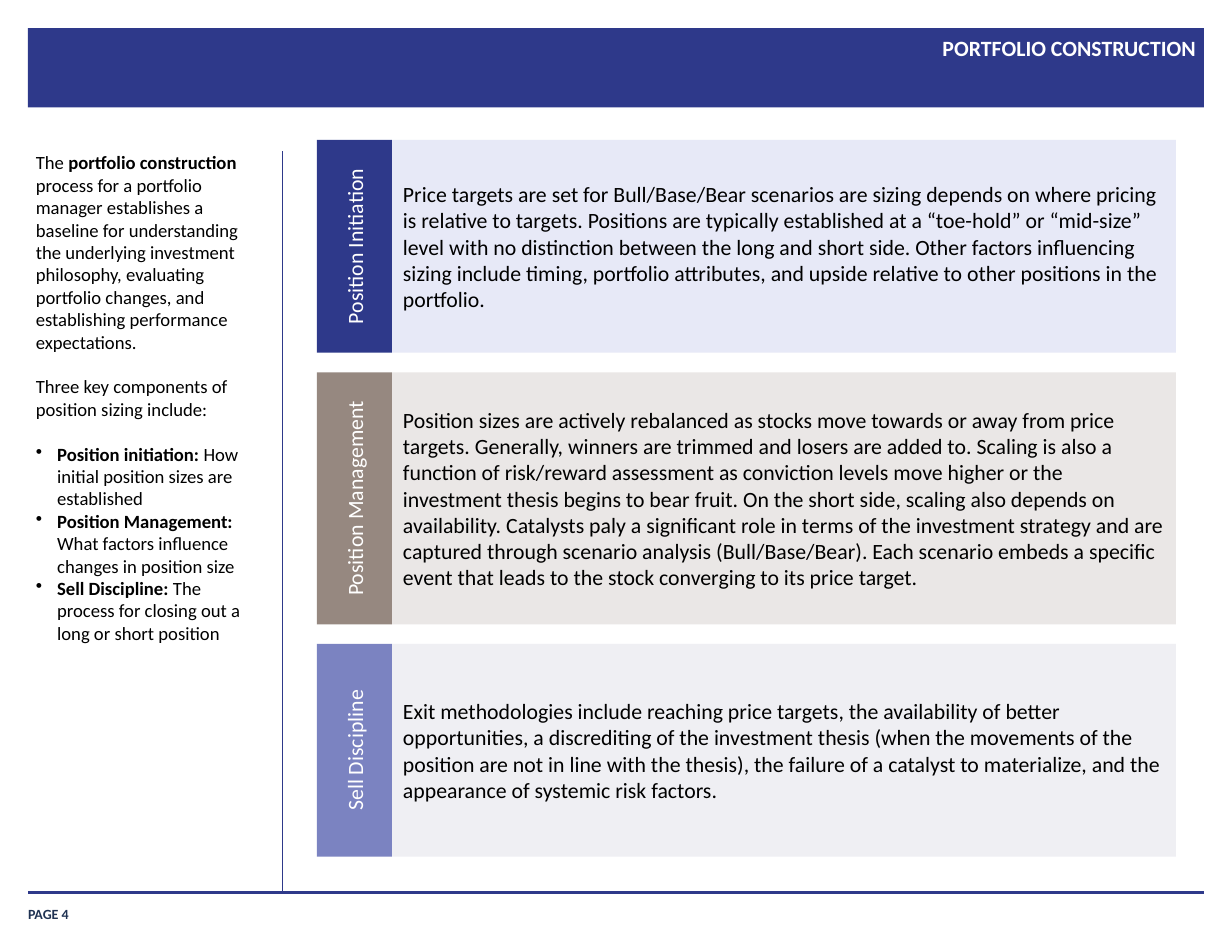
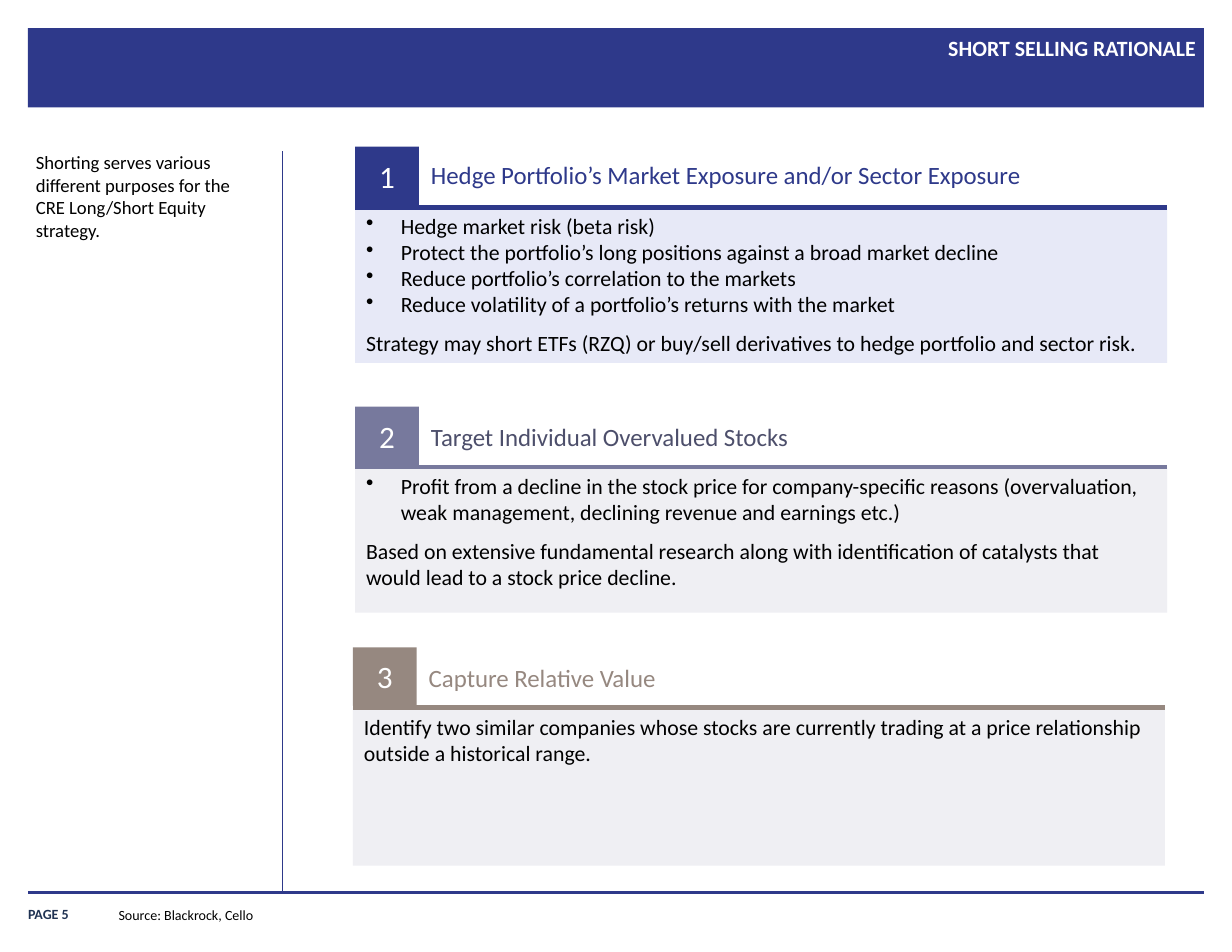
"""Builds two portfolio slides on a grid of quarter-inch cells."""
from dataclasses import dataclass

from lxml import etree
from pptx import Presentation
from pptx import util as u
from pptx.dml.color import RGBColor
from pptx.enum import shapes, text
from pptx.oxml import ns

FONT = "Calibri"
NAVY, SLATE, TAUPE, PERIWINKLE = "2E398A", "77799D", "968880", "7B83C1"
PALE_BLUE, PALE_TAUPE, PALE_GREY = "E7E9F7", "EAE7E6", "EFEFF3"
PAGE_INK, SLATE_INK, BLACK, WHITE = "203353", "4D4F6B", "000000", "FFFFFF"
COLUMNS, ROWS = 44, 34
LEFT, RIGHT = 1, 43
DIVIDER = 10.08
LEFT_ALIGN, CENTER, RIGHT_ALIGN = (
    text.PP_ALIGN.LEFT, text.PP_ALIGN.CENTER, text.PP_ALIGN.RIGHT)
TOP, MIDDLE, BOTTOM = (
    text.MSO_ANCHOR.TOP, text.MSO_ANCHOR.MIDDLE, text.MSO_ANCHOR.BOTTOM)


@dataclass
class Para:
    """A paragraph; words between asterisks are bold, hang is a bullet indent in inches."""
    words: str
    hang: float = 0
    before: float = 0


def cells(*counts):
    """Turn grid cells into lengths."""
    return [u.Inches(count / 4) for count in counts]


def rgb(code):
    """Turn a hex string into a colour."""
    return RGBColor.from_string(code)


def assign(target, values):
    """Set every attribute named in a dict."""
    for key, value in values.items():
        setattr(target, key, value)


def add_bullet(paragraph, hang):
    """Give a paragraph a round bullet and a hanging indent."""
    properties = paragraph._p.get_or_add_pPr()
    properties.set("marL", str(u.Inches(hang)))
    properties.set("indent", str(-u.Inches(hang)))
    etree.SubElement(properties, ns.qn("a:buChar")).set("char", "•")


def write(frame, paras, size, color=BLACK, bold=False, align=LEFT_ALIGN,
          anchor=TOP, inset=True, wrap=True, spacing=None):
    """Fill a text frame with formatted paragraphs."""
    side, edge = (0.1, 0.05) if inset else (0, 0)
    assign(frame, {
        "word_wrap": wrap, "auto_size": text.MSO_AUTO_SIZE.NONE,
        "vertical_anchor": anchor,
        "margin_left": u.Inches(side), "margin_right": u.Inches(side),
        "margin_top": u.Inches(edge), "margin_bottom": u.Inches(edge)})
    for index, para in enumerate(paras):
        paragraph = frame.add_paragraph() if index else frame.paragraphs[0]
        if para.hang:
            add_bullet(paragraph, para.hang)
        assign(paragraph, {"alignment": align, "line_spacing": spacing,
                           "space_before": u.Pt(para.before)})
        for part, words in enumerate(para.words.split("*")):
            if words:
                run = paragraph.add_run()
                run.text = words
                assign(run.font, {"name": FONT, "size": u.Pt(size),
                                  "bold": bold or part % 2 == 1})
                run.font.color.rgb = rgb(color)


def add_block(slide, place, fill):
    """Add a plain filled rectangle."""
    block = slide.shapes.add_shape(shapes.MSO_SHAPE.RECTANGLE, *cells(*place))
    block.shadow.inherit = False
    block.fill.solid()
    block.fill.fore_color.rgb = rgb(fill)
    block.line.fill.background()
    return block


def add_label(slide, place, words, size, **style):
    """Add a one-paragraph text box."""
    label = slide.shapes.add_textbox(*cells(*place))
    write(label.text_frame, [Para(words)], size, **style)


def add_rule(slide, start, end, color, width):
    """Add a straight line without a shadow."""
    rule = slide.shapes.add_connector(
        shapes.MSO_CONNECTOR.STRAIGHT, *cells(*start, *end))
    rule.line.color.rgb = rgb(color)
    rule.line.width = u.Pt(width)
    etree.SubElement(rule._element.spPr, ns.qn("a:effectLst"))


def start_slide(deck, heading, page, sidebar):
    """Add a slide with its band, title, sidebar and footer."""
    slide = deck.slides.add_slide(deck.slide_layouts[5])
    add_block(slide, (LEFT, 1, RIGHT - LEFT, 2.84), NAVY)
    title = slide.shapes.title
    slide.shapes._spTree.append(title._element)
    left, top, width, height = cells(12.68, 1.16, 30.04, 2.68)
    assign(title, {"left": left, "top": top, "width": width, "height": height})
    write(title.text_frame, [Para(heading)], 14, WHITE, bold=True,
          align=RIGHT_ALIGN, inset=False, spacing=1.1)
    add_label(slide, (LEFT, 32.04, 3.64, 0.92), f"PAGE {page}", 9,
              color=PAGE_INK, bold=True, anchor=BOTTOM, inset=False)
    add_rule(slide, (LEFT, 31.88), (RIGHT, 31.88), NAVY, 2.25)
    add_rule(slide, (DIVIDER, 5.4), (DIVIDER, 31.92), NAVY, 0.5)
    side = slide.shapes.add_textbox(*cells(1.28, 5.4, 8.04, 25.92))
    write(side.text_frame, sidebar, 12, inset=False)
    return slide


def add_stage(slide, top, height, name, words, tab_fill, panel_fill):
    """Add a panel of text with a turned tab at its left."""
    panel = add_block(slide, (14, top, 28, height), panel_fill)
    write(panel.text_frame, [Para(words)], 14, anchor=MIDDLE)
    tab = add_block(slide, (11.32, top, 2.68, height), tab_fill)
    write(tab.text_frame, [Para(name)], 14, WHITE, align=CENTER, anchor=MIDDLE)
    tab.text_frame._txBody.bodyPr.set("vert", "vert270")


def add_reason(slide, number, corner, drop, height, name, paras, accent, ink, fill):
    """Add a numbered heading above a ruled panel."""
    left, top = corner
    width, rule_top = 29, top + 2.16
    tile = add_block(slide, (left, top, 2.28, 2.08), accent)
    write(tile.text_frame, [Para(str(number))], 20, WHITE,
          align=CENTER, anchor=MIDDLE)
    panel = add_block(slide, (left, rule_top, width, height), fill)
    write(panel.text_frame, paras, 14)
    add_rule(slide, (left, rule_top), (left + width, rule_top), accent, 3)
    add_label(slide, (left + 2.32, top + drop, 26.68, 1.48), name, 16, color=ink)


def build_construction(deck):
    """Build the slide on portfolio construction."""
    hang, line = 0.19, 14.4
    slide = start_slide(deck, "PORTFOLIO CONSTRUCTION", 4, [
        Para("The *portfolio construction* process for a portfolio manager establishes "
             "a baseline for understanding the underlying investment philosophy, "
             "evaluating portfolio changes, and establishing performance expectations."),
        Para("Three key components of position sizing include:", before=line),
        Para("*Position initiation: *How initial position sizes are established",
             hang, line),
        Para("*Position Management: *What factors influence changes in position size",
             hang),
        Para("*Sell Discipline: *The process for closing out a long or short position",
             hang)])
    stages = [
        (7.6, "Position Initiation",
         "Price targets are set for Bull/Base/Bear scenarios are sizing depends on where "
         "pricing is relative to targets. Positions are typically established at a "
         "“toe-hold” or “mid-size” level with no distinction between the long and short "
         "side. Other factors influencing sizing include timing, portfolio attributes, "
         "and upside relative to other positions in the portfolio.", NAVY, PALE_BLUE),
        (9, "Position Management",
         "Position sizes are actively rebalanced as stocks move towards or away from "
         "price targets. Generally, winners are trimmed and losers are added to. Scaling "
         "is also a function of risk/reward assessment as conviction levels move higher "
         "or the investment thesis begins to bear fruit. On the short side, scaling also "
         "depends on availability. Catalysts paly a significant role in terms of the "
         "investment strategy and are captured through scenario analysis "
         "(Bull/Base/Bear). Each scenario embeds a specific event that leads to the "
         "stock converging to its price target.", TAUPE, PALE_TAUPE),
        (7.6, "Sell Discipline",
         "Exit methodologies include reaching price targets, the availability of better "
         "opportunities, a discrediting of the investment thesis (when the movements of "
         "the position are not in line with the thesis), the failure of a catalyst to "
         "materialize, and the appearance of systemic risk factors.",
         PERIWINKLE, PALE_GREY)]
    top, gap = 5, 0.7
    for height, *content in stages:
        add_stage(slide, top, height, *content)
        top += height + gap


def build_rationale(deck):
    """Build the slide on the reasons for short selling."""
    hang, after_list = 0.31, 8
    slide = start_slide(deck, "SHORT SELLING RATIONALE", 5, [
        Para("Shorting serves various different purposes for the CRE Long/Short "
             "Equity strategy.")])
    add_label(slide, (3.84, 32.16, 5.68, 1), "Source: Blackrock, Cello", 9, wrap=False)
    reasons = [
        ((12.68, 5.24), 0.28, 5.56,
         "Hedge Portfolio’s Market Exposure and/or Sector Exposure",
         [Para("Hedge market risk (beta risk)", hang),
          Para("Protect the portfolio’s long positions against a broad market decline",
               hang),
          Para("Reduce portfolio’s correlation to the markets", hang),
          Para("Reduce volatility of a portfolio’s returns with the market", hang),
          Para("Strategy may short ETFs (RZQ) or buy/sell derivatives to hedge "
               "portfolio and sector risk.", before=after_list)],
         NAVY, NAVY, PALE_BLUE),
        ((12.68, 14.52), 0.36, 5.2, "Target Individual Overvalued Stocks",
         [Para("Profit from a decline in the stock price for company-specific reasons "
               "(overvaluation, weak management, declining revenue and earnings etc.)",
               hang),
          Para("Based on extensive fundamental research along with identification of "
               "catalysts that would lead to a stock price decline.",
               before=after_list)],
         SLATE, SLATE_INK, PALE_GREY),
        ((12.6, 23.12), 0.36, 5.64, "Capture Relative Value",
         [Para("Identify two similar companies whose stocks are currently trading at a "
               "price relationship outside a historical range.")],
         TAUPE, TAUPE, PALE_GREY)]
    for number, reason in enumerate(reasons, 1):
        add_reason(slide, number, *reason)


def main():
    """Build and save the deck."""
    deck = Presentation()
    deck.slide_width, deck.slide_height = cells(COLUMNS, ROWS)
    build_construction(deck)
    build_rationale(deck)
    deck.save("out.pptx")


if __name__ == "__main__":
    main()
